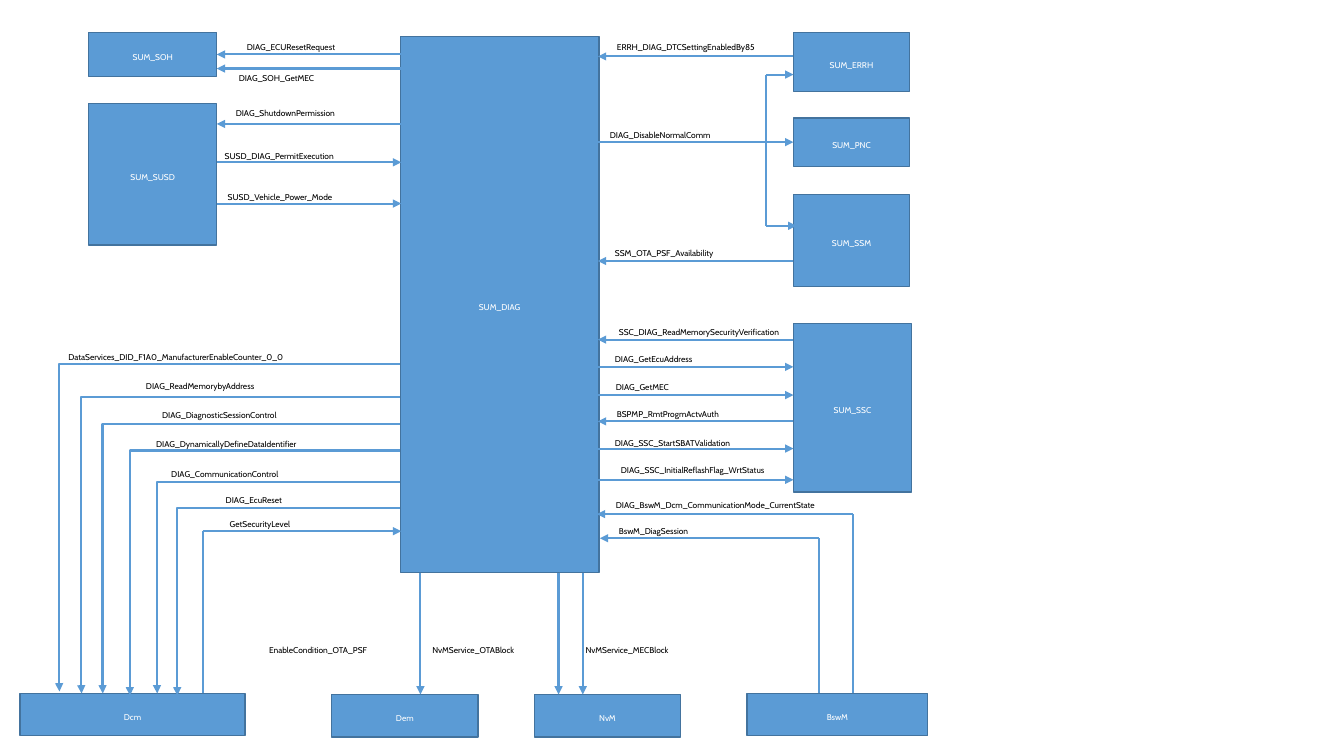
from lxml import etree
from pptx import Presentation
from pptx import util as u
from pptx.dml.color import RGBColor
from pptx.enum import shapes, text
from pptx.oxml.ns import qn

COLORS = {"fill": "5B9BD5", "border": "43739E", "label": "000000", "box_text": "FFFFFF"}

deck = Presentation()
deck.slide_width, deck.slide_height = u.Inches(13.33), u.Inches(7.5)
page = deck.slides.add_slide(deck.slide_layouts[6])


def write(shape, words, color, align):
    shape.text_frame.word_wrap = True
    para = shape.text_frame.paragraphs[0]
    para.text = words
    para.alignment = align
    para.line_spacing = u.Pt(11)
    para.space_after = u.Pt(4)
    para.font.size = u.Pt(6)
    para.font.name = "Cabin"
    para.font.color.rgb = RGBColor.from_string(COLORS[color])


def connect(x1, y1, x2, y2, arrow=True, kind=shapes.MSO_CONNECTOR.STRAIGHT):
    line = page.shapes.add_connector(kind, *map(u.Inches, (x1, y1, x2, y2)))
    line.line.color.rgb = RGBColor.from_string(COLORS["fill"])
    line.line.width = u.Pt(1.5)
    if arrow:
        etree.SubElement(line.line._get_or_add_ln(), qn("a:tailEnd"), type="triangle")
    etree.SubElement(line._element.spPr, qn("a:effectLst"))
    return line


# Components: name, left, top, width, height
components = [
    ("SUM_DIAG", 3.97, 0.36, 1.97, 5.32),
    ("SUM_SOH", 0.88, 0.32, 1.27, 0.44),
    ("SUM_SUSD", 0.88, 1.03, 1.27, 1.4),
    ("SUM_ERRH", 7.87, 0.32, 1.15, 0.59),
    ("SUM_PNC", 7.87, 1.17, 1.15, 0.48),
    ("SUM_SSM", 7.87, 1.93, 1.15, 0.91),
    ("SUM_SSC", 7.87, 3.21, 1.17, 1.67),
    ("Dcm", 0.2, 6.88, 2.23, 0.42),
    ("Dem", 3.29, 6.89, 1.45, 0.42),
    ("NvM", 5.3, 6.89, 1.45, 0.42),
    ("BswM", 7.41, 6.88, 1.79, 0.42),
]
boxes = {}
for name, *frame in components:
    box = page.shapes.add_shape(shapes.MSO_SHAPE.RECTANGLE, *map(u.Inches, frame))
    box.shadow.inherit = False
    box.fill.solid()
    box.fill.fore_color.rgb = RGBColor.from_string(COLORS["fill"])
    box.line.color.rgb = RGBColor.from_string(COLORS["border"])
    box.line.width = u.Pt(1)
    box.text_frame.vertical_anchor = text.MSO_ANCHOR.MIDDLE
    write(box, name, "box_text", text.PP_ALIGN.CENTER)
    boxes[name] = box

# Signals between SUM_DIAG and the components on its left
for y in (0.68, 1.23):
    connect(3.98, y, 2.15, y)
for y in (1.61, 2.02):
    connect(2.15, y, 3.98, y)
connect(3.98, 0.54, 2.15, 0.54).end_connect(boxes["SUM_SOH"], 3)

# Signals between SUM_DIAG and the components on its right
for y in (0.56, 2.59, 3.37, 4.18):
    connect(7.87, y, 5.93, y)
for y in (3.64, 3.92, 4.45, 4.76):
    connect(5.93, y, 7.87, y)
connect(5.93, 1.41, 7.87, 1.41).end_connect(boxes["SUM_PNC"], 1)

# Link between SUM_ERRH and SUM_SSM
connect(7.6, 0.74, 7.6, 2.24, arrow=False)
connect(7.6, 0.74, 7.87, 0.74)
connect(7.6, 2.24, 7.9, 2.24)

# Elbows from SUM_DIAG down to Dcm: x, y of the turn, y of the tip
elbows = [(0.59, 3.61, 6.86), (0.81, 3.94, 6.88), (1.02, 4.21, 6.88),
          (1.29, 4.47, 6.9), (1.56, 4.78, 6.88), (1.76, 5.04, 6.9)]
for x, y, tip in elbows:
    elbow = connect(3.97, y, x, tip, kind=shapes.MSO_CONNECTOR.ELBOW)
    guides = elbow._element.spPr.find(qn("a:prstGeom")).get_or_add_avLst()
    etree.SubElement(guides, qn("a:gd"), name="adj1", fmla="val 100100")

# Paths rising from Dcm and BswM, then turning into SUM_DIAG
for x, y, edge in [(2.01, 5.27, 3.98), (8.46, 5.1, 5.92), (8.12, 5.34, 5.95)]:
    connect(x, 6.88, x, y, arrow=False)
    connect(x, y, edge, y)

# Signals down to Dem and NvM
for x in (4.17, 5.54, 5.78):
    connect(x, 5.68, x, 6.89)

# Signal names: left, top, width, height
labels = [
    ("DIAG_ECUResetRequest", 2.35, 0.32, 1.64, 0.28),
    ("DIAG_SOH_GetMEC", 2.27, 0.62, 1.64, 0.28),
    ("DIAG_ShutdownPermission", 2.24, 0.97, 1.7, 0.28),
    ("SUSD_DIAG_PermitExecution", 2.13, 1.4, 1.83, 0.28),
    ("SUSD_Vehicle_Power_Mode", 2.16, 1.8, 1.91, 0.28),
    ("DataServices_DID_F1A0_ManufacturerEnableCounter_0_0", 0.58, 3.39, 3.45, 0.23),
    ("DIAG_ReadMemorybyAddress", 1.35, 3.68, 2.6, 0.23),
    ("DIAG_DiagnosticSessionControl", 1.51, 3.97, 1.94, 0.23),
    ("DIAG_DynamicallyDefineDataIdentifier", 1.45, 4.25, 2.39, 0.23),
    ("DIAG_CommunicationControl", 1.6, 4.55, 1.94, 0.23),
    ("DIAG_EcuReset", 2.14, 4.81, 1.11, 0.23),
    ("GetSecurityLevel", 2.18, 5.05, 1.16, 0.23),
    ("ERRH_DIAG_DTCSettingEnabledBy85", 6.02, 0.32, 1.8, 0.35),
    ("DIAG_DisableNormalComm", 5.95, 1.19, 1.8, 0.28),
    ("SSM_OTA_PSF_Availability", 6, 2.36, 1.89, 0.21),
    ("SSC_DIAG_ReadMemorySecurityVerification", 6.04, 3.14, 1.84, 0.28),
    ("DIAG_GetEcuAddress", 6, 3.41, 1.51, 0.25),
    ("DIAG_GetMEC", 6.01, 3.69, 1.51, 0.25),
    ("BSPMP_RmtProgmActvAuth", 6.02, 3.96, 1.73, 0.25),
    ("DIAG_SSC_StartSBATValidation", 6, 4.24, 1.74, 0.25),
    ("DIAG_SSC_InitialReflashFlag_WrtStatus", 6.06, 4.51, 1.73, 0.25),
    ("DIAG_BswM_Dcm_CommunicationMode_CurrentState", 6.01, 4.86, 3.19, 0.15),
    ("BswM_DiagSession", 6.04, 5.12, 1.37, 0.21),
    ("EnableCondition_OTA_PSF", 2.57, 6.3, 1.76, 0.35),
    ("NvMService_OTABlock", 4.19, 6.3, 1.5, 0.35),
    ("NvMService_MECBlock", 5.71, 6.3, 1.5, 0.35),
]
for name, *frame in labels:
    label = page.shapes.add_textbox(*map(u.Inches, frame))
    write(label, name, "label", text.PP_ALIGN.LEFT)

deck.save("out.pptx")
